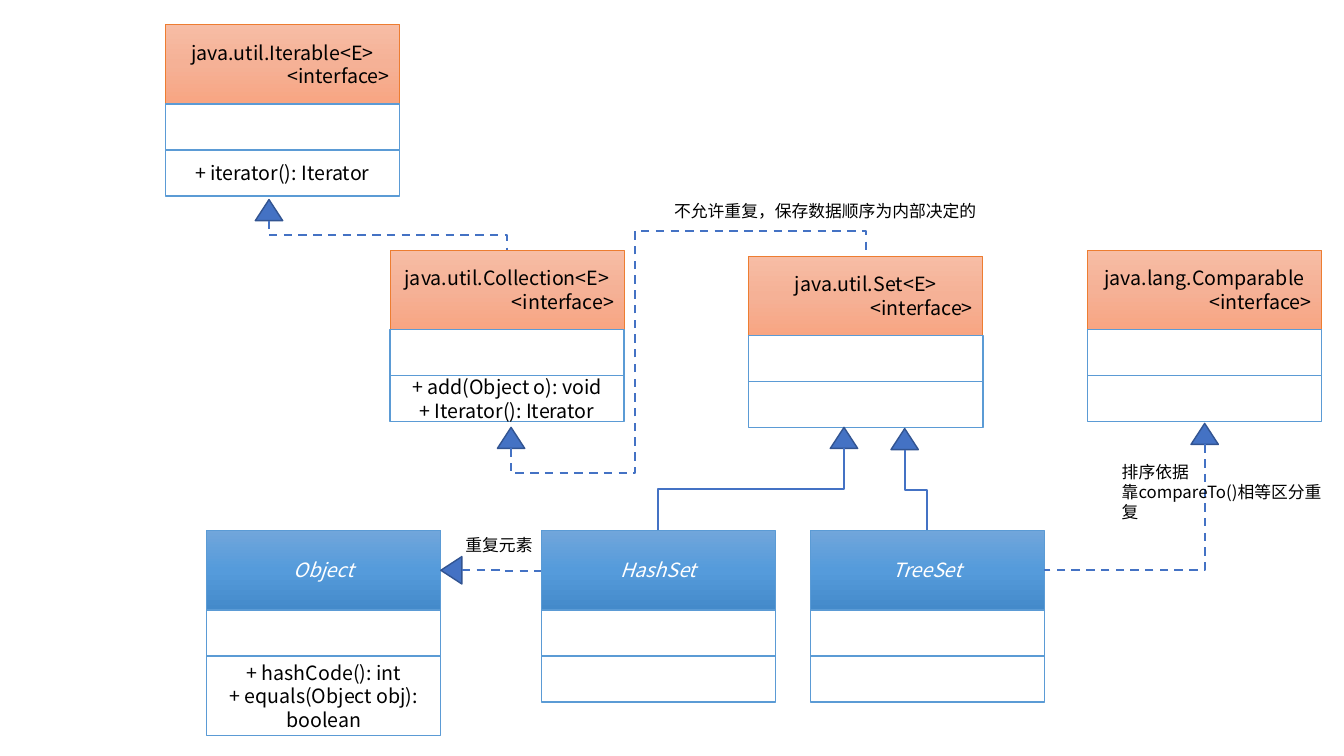
from copy import deepcopy
from pptx import Presentation
from pptx.dml.color import RGBColor
from pptx.enum.dml import MSO_LINE
from pptx.enum.shapes import MSO_CONNECTOR, MSO_SHAPE
from pptx.enum.text import MSO_ANCHOR, PP_ALIGN
from pptx.oxml import parse_xml
from pptx.oxml.ns import nsdecls, qn
from pptx.util import Cm, Pt

LEFT, CENTER, RIGHT = PP_ALIGN.LEFT, PP_ALIGN.CENTER, PP_ALIGN.RIGHT


def color(value):
    return RGBColor.from_string(value)


def write(frame, text, font="Noto Sans CJK SC", size=14, ink="000000",
          italic=False, aligns=(CENTER,), anchor=MSO_ANCHOR.MIDDLE):
    frame.word_wrap = True
    frame.vertical_anchor = anchor
    for index, line in enumerate(text.split("\n")):
        para = frame.add_paragraph() if index else frame.paragraphs[0]
        para.alignment = aligns[min(index, len(aligns) - 1)]
        span = para.add_run()
        span.text = line
        span.font.name = font
        span.font.size = Pt(size)
        span.font.italic = italic
        span.font.color.rgb = color(ink)
        east = parse_xml(f'<a:ea {nsdecls("a")} typeface="{font}"/>')
        span.font._element.find(qn("a:latin")).addnext(east)


class Diagram:
    width, head, row = 5.9, 2.01, 1.16
    tip_width, tip_height = 0.69, 0.53
    outline, accent, tip_outline = "5B9BD5", "4472C4", "325491"
    interface_stops = ("F7BDA5", "F5B196", "F8A582")
    class_stops = ("71A6DB", "559BDB", "448ACA")

    def __init__(self, page):
        self.page = page

    def shape(self, kind, left, top, width, height, line, weight, fill="FFFFFF"):
        box = self.page.shapes.add_shape(kind, Cm(left), Cm(top), Cm(width), Cm(height))
        box.shadow.inherit = False
        box.fill.solid()
        box.fill.fore_color.rgb = color(fill)
        box.line.color.rgb = color(line)
        box.line.width = Pt(weight)
        return box

    def header(self, left, top, line, stops):
        box = self.shape(MSO_SHAPE.RECTANGLE, left, top, self.width, self.head, line, 0.5)
        box.fill.gradient()
        box.fill.gradient_angle = 270
        first = box._element.spPr.find(qn("a:gradFill")).find(qn("a:gsLst"))[0]
        first.addnext(deepcopy(first))
        for stop, position, value in zip(box.fill.gradient_stops, (0, 0.5, 1), stops):
            stop.position = position
            stop.color.rgb = color(value)
        return box

    def rows(self, left, top, methods, last_height):
        for offset, height, text in ((0, self.row, ""), (self.row, last_height, methods)):
            box = self.shape(MSO_SHAPE.RECTANGLE, left, top + self.head + offset,
                             self.width, height, self.outline, 1)
            if text:
                write(box.text_frame, text)

    def interface(self, name, left, top, methods=""):
        box = self.header(left, top, "ED7D31", self.interface_stops)
        write(box.text_frame, f"{name}\n<interface>", aligns=(CENTER, RIGHT))
        self.rows(left, top, methods, self.row)

    def concrete(self, name, left, top, methods="", last_height=row):
        box = self.header(left, top, self.outline, self.class_stops)
        write(box.text_frame, name, ink="FFFFFF", italic=True)
        self.rows(left, top, methods, last_height)

    def triangle(self, center_x, center_y, rotation=0):
        box = self.shape(MSO_SHAPE.ISOSCELES_TRIANGLE, center_x - self.tip_width / 2,
                         center_y - self.tip_height / 2, self.tip_width,
                         self.tip_height, self.tip_outline, 1, self.accent)
        box.rotation = rotation

    def elbow(self, left, top, width, height, dashed, preset="bentConnector3", adjust=()):
        line = self.page.shapes.add_connector(MSO_CONNECTOR.ELBOW, Cm(left), Cm(top),
                                              Cm(left + width), Cm(top + height))
        line.line.color.rgb = color(self.accent)
        line.line.width = Pt(1.5)
        if dashed:
            line.line.dash_style = MSO_LINE.DASH
        props = line._element.spPr
        props.append(parse_xml(f'<a:effectLst {nsdecls("a")}/>'))
        geometry = props.find(qn("a:prstGeom"))
        geometry.set("prst", preset)
        guides = geometry.get_or_add_avLst()
        for number, share in enumerate(adjust, 1):
            guides.append(parse_xml(f'<a:gd {nsdecls("a")} name="adj{number}" '
                                    f'fmla="val {round(share * 100000)}"/>'))
        return props.find(qn("a:xfrm"))

    def arrow_up(self, tip, child, dashed=True, **route):
        self.triangle(tip[0], tip[1] + self.tip_height / 2)
        base = tip[1] + self.tip_height
        across, down = child[0] - tip[0], child[1] - base
        width, height = abs(down), abs(across)
        frame = self.elbow(tip[0] + (across - width) / 2, base + (down - height) / 2,
                           width, height, dashed, **route)
        same = across * down > 0
        frame.set("rot", str((270 if same else 90) * 60000))
        frame.set("flipH", str(int(down > 0 if same else down < 0)))
        frame.set("flipV", str(int(across < 0 if same else across > 0)))

    def arrow_left(self, tip, child):
        self.triangle(tip[0] + self.tip_height / 2, tip[1], rotation=270)
        base = tip[0] + self.tip_height
        self.elbow(base, tip[1], child[0] - base, child[1] - tip[1], True)

    def note(self, text, left, top, width, height):
        box = self.page.shapes.add_textbox(Cm(left), Cm(top), Cm(width), Cm(height))
        write(box.text_frame, text, size=12, aligns=(LEFT,), anchor=MSO_ANCHOR.TOP)


deck = Presentation()
deck.slide_width, deck.slide_height = Cm(33.87), Cm(19.05)
diagram = Diagram(deck.slides.add_slide(deck.slide_layouts[6]))

class_top = 13.36
diagram.interface("java.util.Iterable<E>", 4.17, 0.61, "+ iterator(): Iterator")
diagram.interface("java.util.Collection<E>", 9.83, 6.3,
                  "+ add(Object o): void\n+ Iterator(): Iterator")
diagram.interface("java.util.Set<E>", 18.87, 6.45)
diagram.interface("java.lang.Comparable", 27.41, 6.3)
diagram.concrete("Object", 5.21, class_top,
                 "+ hashCode(): int\n+ equals(Object obj): boolean", 2.01)
diagram.concrete("HashSet", 13.64, class_top)
diagram.concrete("TreeSet", 20.42, class_top)

diagram.arrow_up((6.78, 5.03), (12.78, 6.3))
diagram.arrow_up((12.88, 10.77), (21.82, 6.45), preset="bentConnector5",
                 adjust=(-0.13, 0.35, 1.13))
diagram.arrow_up((21.27, 10.77), (16.59, class_top), dashed=False)
diagram.arrow_up((22.8, 10.8), (23.37, class_top), dashed=False)
diagram.arrow_up((30.36, 10.67), (26.32, 14.36), preset="bentConnector2")
diagram.arrow_left((11.11, 14.37), (13.64, 14.4))

diagram.note("不允许重复，保存数据顺序为内部决定的", 16.74, 4.93, 8.2, 0.77)
diagram.note("排序依据\n靠compareTo()相等区分重复", 28.02, 11.51, 5.84, 1.28)
diagram.note("重复元素", 11.48, 13.36, 2.24, 0.77)

deck.save("out.pptx")
